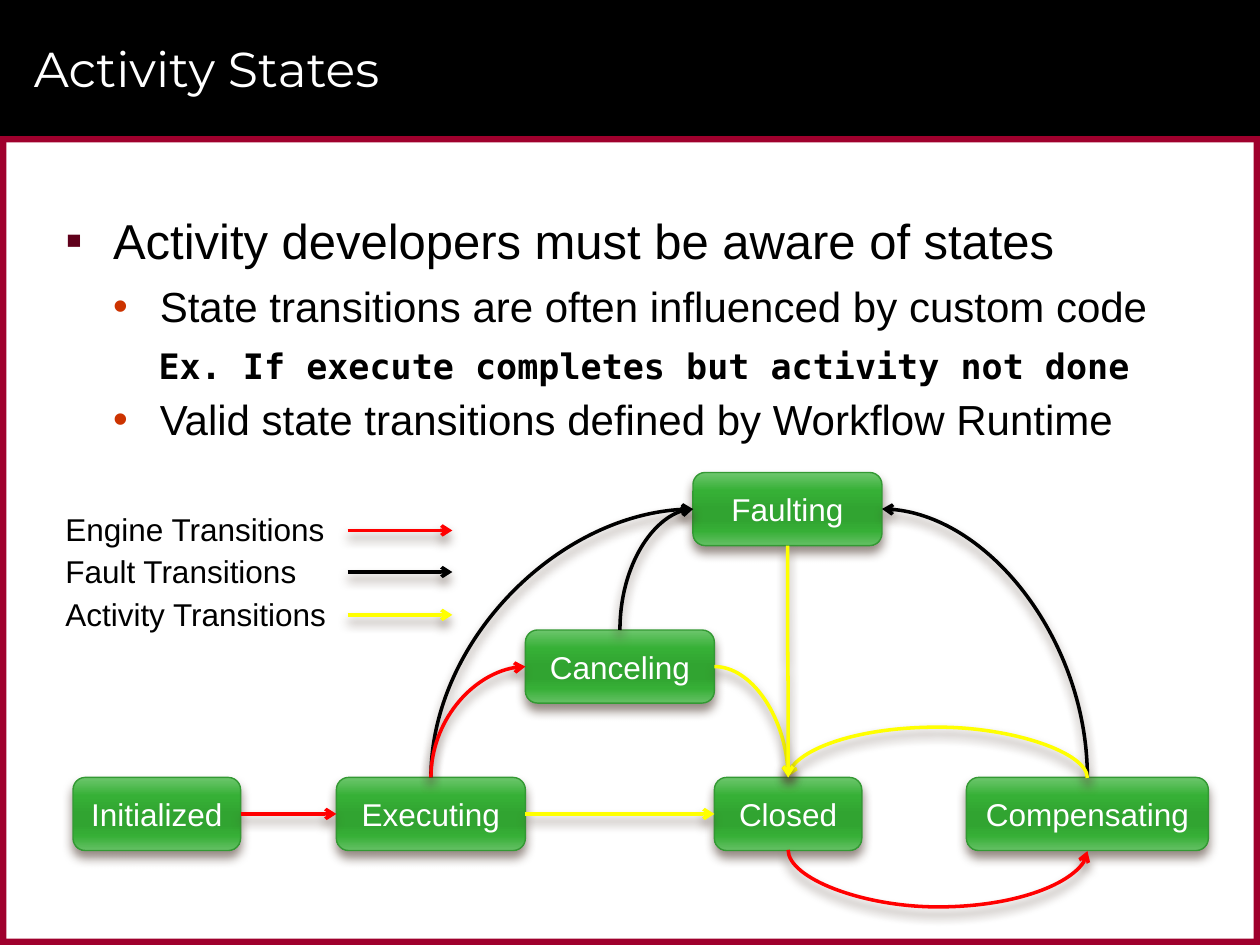
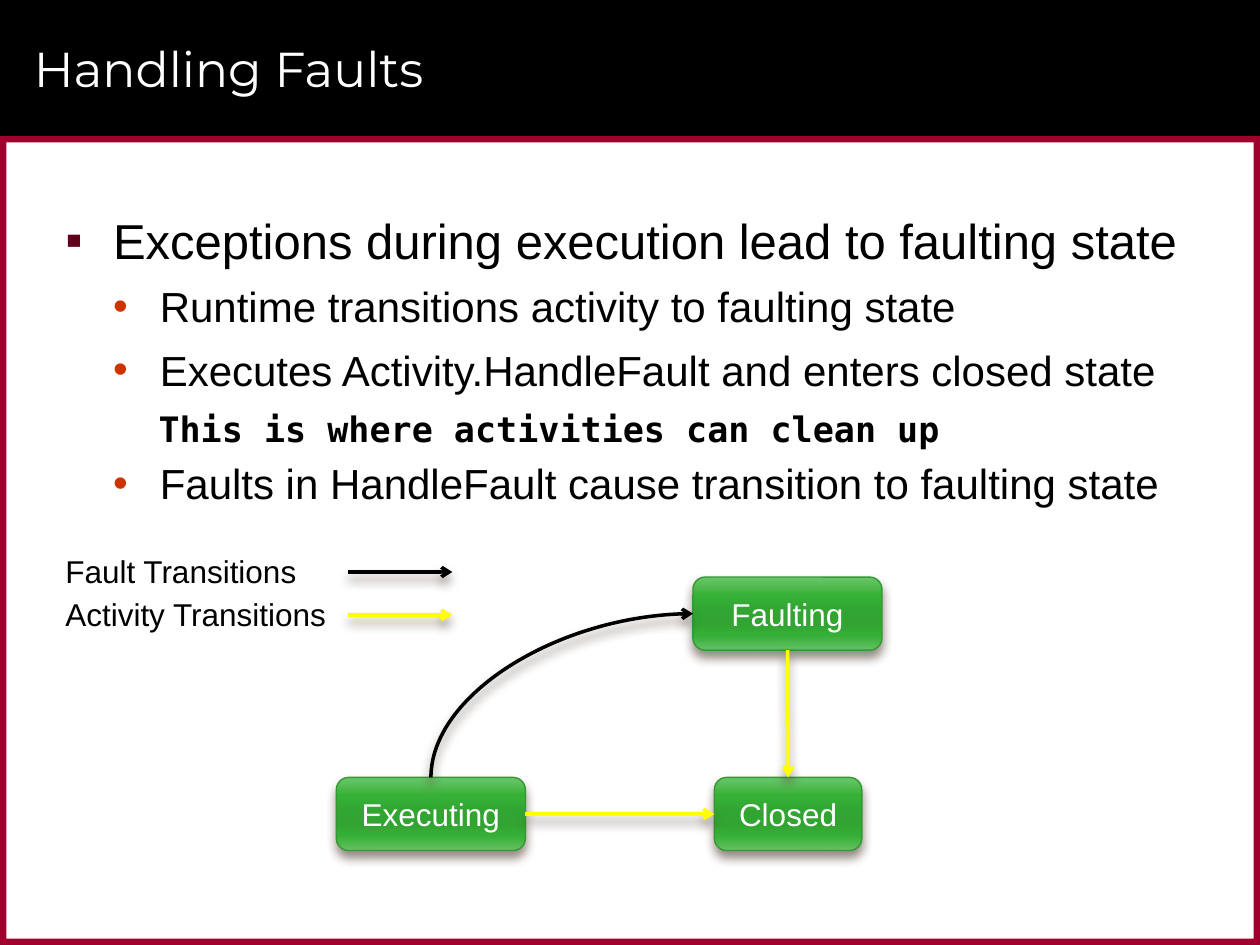
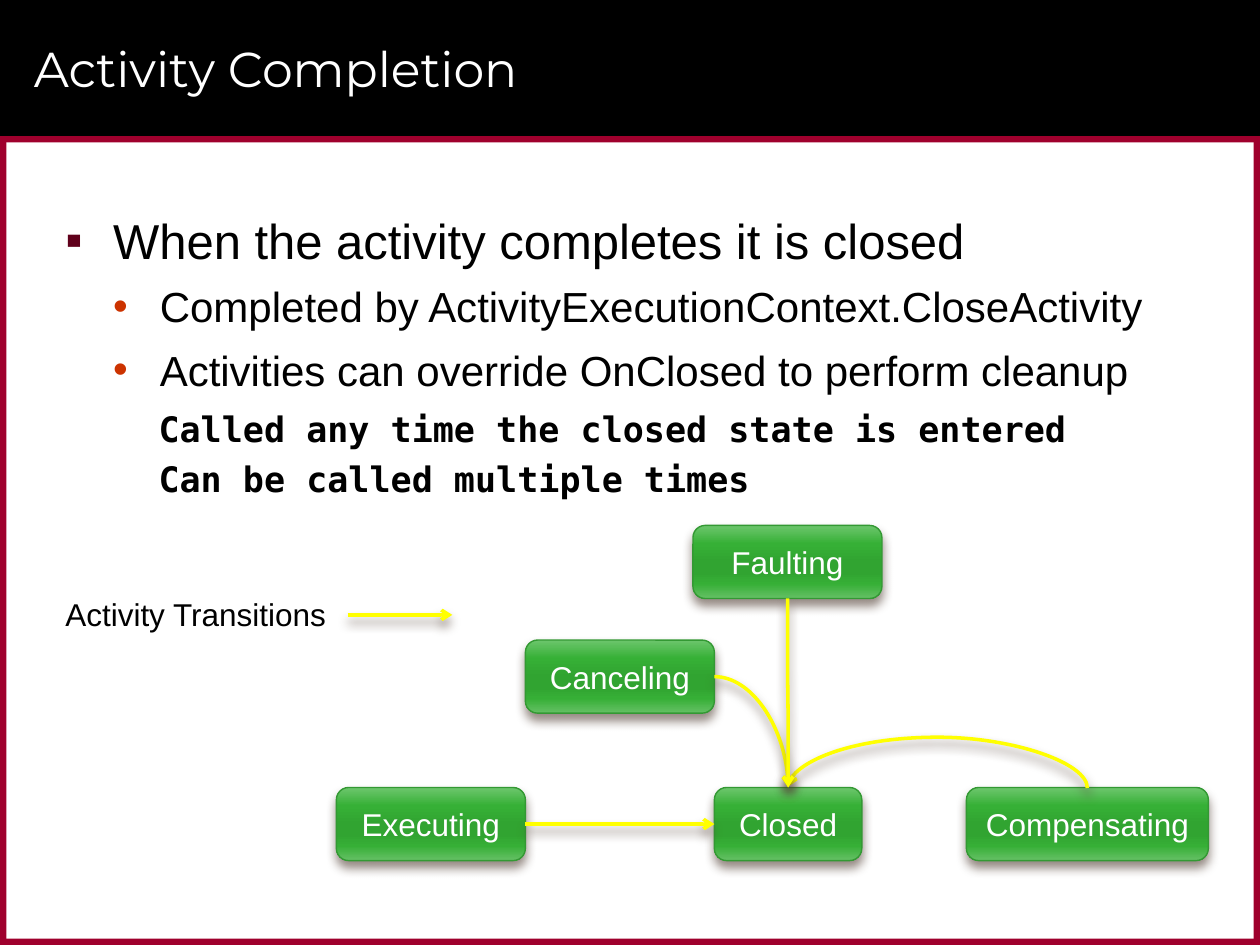
from lxml.etree import SubElement
from pptx import Presentation
from pptx.dml.color import RGBColor
from pptx.enum.shapes import MSO_CONNECTOR, MSO_SHAPE
from pptx.enum.text import MSO_ANCHOR, PP_ALIGN
from pptx.oxml.ns import qn
from pptx.util import Inches, Pt

BLACK, WHITE, CRIMSON = "000000", "FFFFFF", "9F002D"
ENGINE, FAULT, ACTIVITY = "FF0000", "000000", "FFFF00"
EDGE_GREEN, SHADOW_BROWN = "339933", "4E3B30"
GREEN_STOPS = [(0, "6DC66D"), (25, "36B036"), (50, "31A431"),
               (65, "31A431"), (80, "36AF36"), (100, "65C065")]
TOP, LEFT, BOTTOM, RIGHT = range(4)
STATE_HEIGHT = 0.58
FLAT = Inches(0.01)

BANDS = [
    (0, 0, 10, 1.08, BLACK),
    (0, 1.08, 10, 0.05, CRIMSON),
    (0, 7.45, 10, 0.05, CRIMSON),
    (9.95, 1.08, 0.05, 6.42, CRIMSON),
    (0, 1.08, 0.05, 6.42, CRIMSON),
]
LEVELS = [
    dict(margin=0.38, indent=-0.38, before=0, after=2, bullet="▪", tint="60001B", font="Arial", size=28),
    dict(margin=0.75, indent=-0.37, before=4.5, after=3, bullet="•", tint="CC3300", font="Arial", size=24),
    dict(margin=0.74, indent=0, before=4.5, after=0, bullet=None, tint=None, font="DejaVu Sans Mono", size=20),
]
STATE_SPANS = {
    "Initialized": (0.58, 1.33),
    "Executing": (2.67, 1.5),
    "Canceling": (4.17, 1.5),
    "Faulting": (5.5, 1.5),
    "Compensating": (7.67, 1.92),
    "Closed": (5.67, 1.17),
}
LEGEND = {
    "Engine Transitions": (4, ENGINE),
    "Fault Transitions": (4.33, FAULT),
    "Activity Transitions": (4.67, ACTIVITY),
}
EXECUTING_TO_CLOSED = ("Executing", RIGHT, "Closed", LEFT, ACTIVITY)
EXECUTING_TO_FAULTING = ("Executing", TOP, "Faulting", LEFT, FAULT)
COMPENSATING_TO_CLOSED = ("Compensating", TOP, "Closed", TOP, ACTIVITY)
CANCELING_TO_CLOSED = ("Canceling", RIGHT, "Closed", TOP, ACTIVITY)
FAULTING_TO_CLOSED = ("Faulting", BOTTOM, "Closed", TOP, ACTIVITY)

PAGES = [
    dict(
        title="Activity States",
        body_height=2,
        body=[
            (0, "Activity developers must be aware of states"),
            (1, "State transitions are often influenced by custom code"),
            (2, "Ex. If execute completes but activity not done"),
            (1, "Valid state transitions defined by Workflow Runtime"),
        ],
        tops={"Initialized": 6.17, "Executing": 6.17, "Canceling": 5,
              "Faulting": 3.75, "Compensating": 6.17, "Closed": 6.17},
        routes=[
            ("Initialized", RIGHT, "Executing", LEFT, ENGINE),
            EXECUTING_TO_CLOSED,
            EXECUTING_TO_FAULTING,
            ("Executing", TOP, "Canceling", LEFT, ENGINE),
            ("Canceling", TOP, "Faulting", LEFT, FAULT),
            ("Compensating", TOP, "Faulting", RIGHT, FAULT),
            ("Closed", BOTTOM, "Compensating", BOTTOM, ENGINE),
            COMPENSATING_TO_CLOSED,
            CANCELING_TO_CLOSED,
            FAULTING_TO_CLOSED,
        ],
        legend=["Engine Transitions", "Fault Transitions", "Activity Transitions"],
    ),
    dict(
        title="Handling Faults",
        body_height=5.67,
        body=[
            (0, "Exceptions during execution lead to faulting state"),
            (1, "Runtime transitions activity to faulting state"),
            (1, "Executes Activity.HandleFault and enters closed state"),
            (2, "This is where activities can clean up"),
            (1, "Faults in HandleFault cause transition to faulting state"),
        ],
        tops={"Executing": 6.17, "Faulting": 4.58, "Closed": 6.17},
        routes=[EXECUTING_TO_CLOSED, EXECUTING_TO_FAULTING, FAULTING_TO_CLOSED],
        legend=["Fault Transitions", "Activity Transitions"],
    ),
    dict(
        title="Activity Completion",
        body_height=5.67,
        body=[
            (0, "When the activity completes it is closed"),
            (1, "Completed by ActivityExecutionContext.CloseActivity"),
            (1, "Activities can override OnClosed to perform cleanup"),
            (2, "Called any time the closed state is entered"),
            (2, "Can be called multiple times"),
        ],
        tops={"Executing": 6.25, "Canceling": 5.08, "Faulting": 4.17,
              "Compensating": 6.25, "Closed": 6.25},
        routes=[EXECUTING_TO_CLOSED, COMPENSATING_TO_CLOSED, CANCELING_TO_CLOSED, FAULTING_TO_CLOSED],
        legend=["Activity Transitions"],
    ),
]


def add_shadow(shape):
    effects = SubElement(shape.element.spPr, qn("a:effectLst"))
    shadow = SubElement(effects, qn("a:outerShdw"), blurRad=str(Pt(6)), dist=str(Pt(4)),
                        dir="5400000", algn="ctr", rotWithShape="0")
    tint = SubElement(shadow, qn("a:srgbClr"), val=SHADOW_BROWN)
    SubElement(tint, qn("a:alpha"), val="60000")


def style_arrow(arrow, color):
    arrow.line.color.rgb = RGBColor.from_string(color)
    arrow.line.width = Pt(2)
    SubElement(arrow.element.spPr.find(qn("a:ln")), qn("a:tailEnd"), type="arrow")
    add_shadow(arrow)


deck = Presentation()
deck.slide_width, deck.slide_height = Inches(10), Inches(7.5)

for content in PAGES:
    page = deck.slides.add_slide(deck.slide_layouts[6])
    for left, top, width, height, color in BANDS:
        band = page.shapes.add_shape(MSO_SHAPE.RECTANGLE, Inches(left), Inches(top), Inches(width), Inches(height))
        band.shadow.inherit = False
        band.fill.solid()
        band.fill.fore_color.rgb = RGBColor.from_string(color)
        band.line.fill.background()

    title = page.shapes.add_textbox(Inches(0.17), Inches(0.08), Inches(9.42), Inches(0.92))
    title.text_frame.word_wrap = True
    title.text_frame.vertical_anchor = MSO_ANCHOR.MIDDLE
    para = title.text_frame.paragraphs[0]
    para.text = content["title"]
    para.font.name, para.font.size = "Montserrat", Pt(28)
    para.font.color.rgb = RGBColor.from_string(WHITE)

    body = page.shapes.add_textbox(Inches(0.42), Inches(1.62), Inches(9.17), Inches(content["body_height"]))
    body.text_frame.word_wrap = True
    for index, (depth, text) in enumerate(content["body"]):
        level = LEVELS[depth]
        para = body.text_frame.paragraphs[0] if index == 0 else body.text_frame.add_paragraph()
        para.text = text
        para.level = depth
        para.space_before, para.space_after = Pt(level["before"]), Pt(level["after"])
        properties = para._p.get_or_add_pPr()
        properties.set("marL", str(Inches(level["margin"])))
        properties.set("indent", str(Inches(level["indent"])))
        if level["bullet"]:
            bullet_color = SubElement(properties, qn("a:buClr"))
            SubElement(bullet_color, qn("a:srgbClr"), val=level["tint"])
            SubElement(properties, qn("a:buFont"), typeface="Arial")
            SubElement(properties, qn("a:buChar"), char=level["bullet"])
        else:
            SubElement(properties, qn("a:buNone"))
        para.font.name, para.font.size = level["font"], Pt(level["size"])
        para.font.bold = depth == 2
        para.font.color.rgb = RGBColor.from_string(BLACK)

    states = {}
    for name, top in content["tops"].items():
        left, width = STATE_SPANS[name]
        state = page.shapes.add_shape(MSO_SHAPE.ROUNDED_RECTANGLE, Inches(left), Inches(top),
                                      Inches(width), Inches(STATE_HEIGHT))
        state.fill.gradient()
        state.fill.gradient_angle = 270
        stops = state.element.spPr.find(qn("a:gradFill")).find(qn("a:gsLst"))
        stops.clear()
        for percent, color in GREEN_STOPS:
            stop = SubElement(stops, qn("a:gs"), pos=str(percent * 1000))
            SubElement(stop, qn("a:srgbClr"), val=color)
        state.line.color.rgb = RGBColor.from_string(EDGE_GREEN)
        state.line.width = Pt(0.79)
        add_shadow(state)
        state.text_frame.word_wrap = True
        state.text_frame.vertical_anchor = MSO_ANCHOR.MIDDLE
        para = state.text_frame.paragraphs[0]
        para.text = name
        para.alignment = PP_ALIGN.CENTER
        para.font.name, para.font.size = "Arial", Pt(18)
        para.font.color.rgb = RGBColor.from_string(WHITE)
        states[name] = state

    for source, source_site, target, target_site, color in content["routes"]:
        sideways = (source_site, target_site) == (RIGHT, LEFT)
        kind = MSO_CONNECTOR.ELBOW if sideways else MSO_CONNECTOR.CURVE
        arrow = page.shapes.add_connector(kind, 0, 0, 0, 0)
        arrow.begin_connect(states[source], source_site)
        arrow.end_connect(states[target], target_site)
        geometry = arrow.element.spPr.find(qn("a:prstGeom"))
        if source_site % 2 != target_site % 2:
            geometry.set("prst", "curvedConnector2")
        if source_site in (TOP, BOTTOM):
            center_x = (arrow.begin_x + arrow.end_x) // 2
            center_y = (arrow.begin_y + arrow.end_y) // 2
            leftward = arrow.end_x < arrow.begin_x
            width, height = max(arrow.height, FLAT), arrow.width
            arrow.left, arrow.top = center_x - width // 2, center_y - height // 2
            arrow.width, arrow.height = width, height
            frame = arrow.element.spPr.find(qn("a:xfrm"))
            frame.set("rot", "16200000")
            frame.set("flipH", str(int(source_site == BOTTOM)))
            frame.set("flipV", str(int(leftward)))
        if source_site == target_site:
            bulge = Inches(0.46 if source_site == BOTTOM else 0.41)
            guides = geometry.find(qn("a:avLst"))
            SubElement(guides, qn("a:gd"), name="adj1", fmla=f"val {bulge * 100000 // FLAT}")
        style_arrow(arrow, color)

    for label in content["legend"]:
        top, color = LEGEND[label]
        box = page.shapes.add_textbox(Inches(0.42), Inches(top), Inches(2.28), Inches(0.4))
        box.text_frame.word_wrap = True
        para = box.text_frame.paragraphs[0]
        para.text = label
        para.font.name, para.font.size = "Arial", Pt(18)
        para.font.color.rgb = RGBColor.from_string(BLACK)
        line_y = Inches(top + 0.21)
        sample = page.shapes.add_connector(MSO_CONNECTOR.STRAIGHT, Inches(2.76), line_y, Inches(3.59), line_y)
        style_arrow(sample, color)

deck.save("out.pptx")
